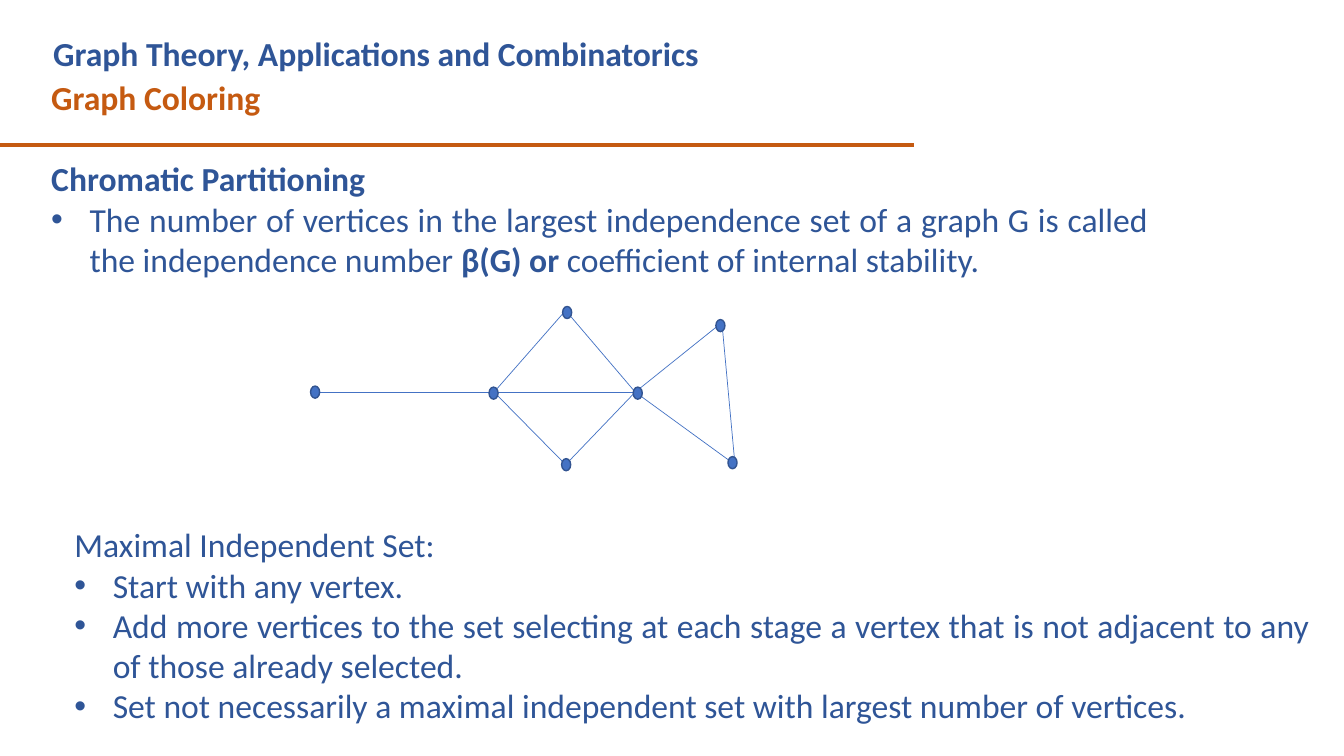
from lxml import etree
from pptx import Presentation
from pptx.dml.color import RGBColor
from pptx.enum import shapes, text
from pptx.oxml import ns
from pptx.util import Inches, Pt

NAVY, RUST, BLUE, EDGE = "2F5597", "C55A11", "4472C4", "325491"


def paint(target, color):
    target.rgb = RGBColor.from_string(color)


def link(parent, start, end, color, width):
    line = parent.add_connector(
        shapes.MSO_CONNECTOR.STRAIGHT, *[Inches(n) for n in start + end])
    paint(line.line.color, color)
    line.line.width = Pt(width)
    etree.SubElement(line._element.spPr, ns.qn("a:effectLst"))


deck = Presentation()
deck.slide_width, deck.slide_height = Inches(13.33), Inches(7.5)
slide = deck.slides.add_slide(deck.slide_layouts[6])

link(slide.shapes, (0, 1.44), (9.07, 1.44), RUST, 3)

LEFT, JUST = text.PP_ALIGN.LEFT, text.PP_ALIGN.JUSTIFY
boxes = [
    ((0.41, 0.71, 8.75, 0.5), RUST, LEFT, [
        (False, [("Graph Coloring", True)])]),
    ((0.43, 0.28, 8.2, 0.5), NAVY, LEFT, [
        (False, [("Graph Theory, Applications and Combinatorics", True)])]),
    ((0.41, 1.52, 11.08, 1.31), NAVY, JUST, [
        (False, [("Chromatic Partitioning", True)]),
        (True, [("The number of vertices in the largest independence set of a "
                 "graph G is called the independence number ", False),
                ("β(G) or ", True),
                ("coefficient of internal stability.", False)])]),
    ((0.64, 5.15, 12.45, 2.12), NAVY, JUST, [
        (False, [("Maximal Independent Set:", False)]),
        (True, [("Start with any vertex.", False)]),
        (True, [("Add more vertices to the set selecting at each stage a vertex "
                 "that is not adjacent to any of those already selected.", False)]),
        (True, [("Set not necessarily a maximal independent set with largest "
                 "number of vertices.", False)])]),
]
for place, color, align, paras in boxes:
    frame = slide.shapes.add_textbox(*[Inches(n) for n in place]).text_frame
    frame.word_wrap = True
    for i, (dotted, runs) in enumerate(paras):
        para = frame.add_paragraph() if i else frame.paragraphs[0]
        para.alignment = align
        if dotted:
            props = para._p.get_or_add_pPr()
            props.set("marL", str(Inches(0.38)))
            props.set("indent", str(-Inches(0.38)))
            etree.SubElement(props, ns.qn("a:buFont"), typeface="Arial")
            etree.SubElement(props, ns.qn("a:buChar"), char="•")
        for words, bold in runs:
            run = para.add_run()
            run.text = words
            style = {"name": "Calibri", "size": Pt(24), "bold": bold}
            for key, value in style.items():
                setattr(run.font, key, value)
            paint(run.font.color, color)

joints = {"tail": (3.09, 3.89), "west": (4.9, 3.89), "north": (5.61, 3.08),
          "south": (5.61, 4.61), "hub": (6.3, 3.89), "upper": (7.16, 3.2),
          "lower": (7.29, 4.61)}
dots = {"tail": (3.08, 3.83), "west": (4.85, 3.84), "north": (5.58, 3.04),
        "south": (5.57, 4.55), "hub": (6.28, 3.84), "upper": (7.1, 3.17),
        "lower": (7.22, 4.53)}
edges = ["tail west", "west north", "north hub", "west south", "south hub",
         "hub upper", "upper lower", "hub lower", "west hub"]

graph = slide.shapes.add_group_shape().shapes
for edge in edges:
    start, end = edge.split()
    link(graph, joints[start], joints[end], BLUE, 0.5)
for x, y in dots.values():
    dot = graph.add_shape(shapes.MSO_SHAPE.OVAL, Inches(x), Inches(y),
                          Inches(0.09), Inches(0.12))
    dot.shadow.inherit = False
    dot.fill.solid()
    paint(dot.fill.fore_color, BLUE)
    paint(dot.line.color, EDGE)
    dot.line.width = Pt(1)

deck.save("out.pptx")
